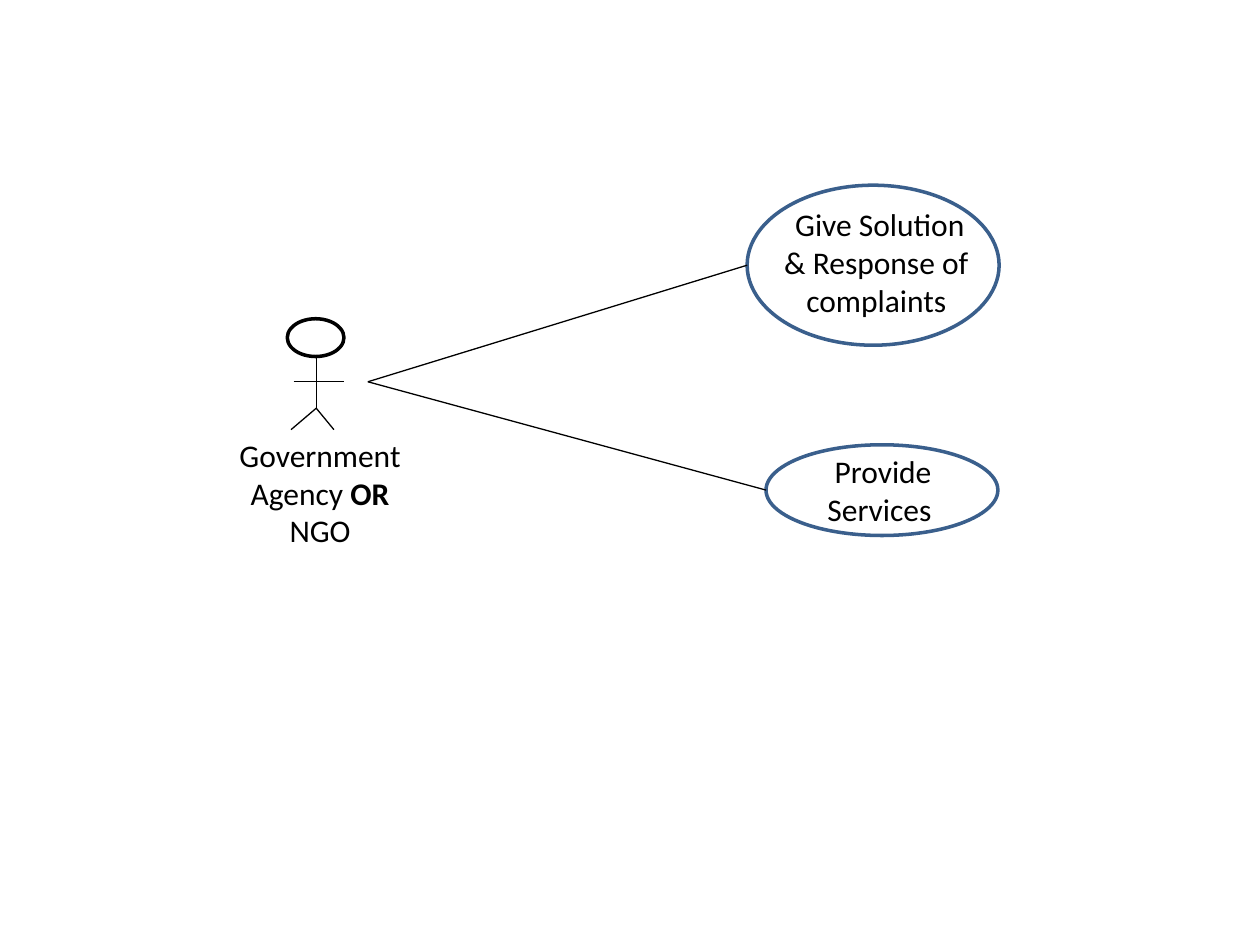
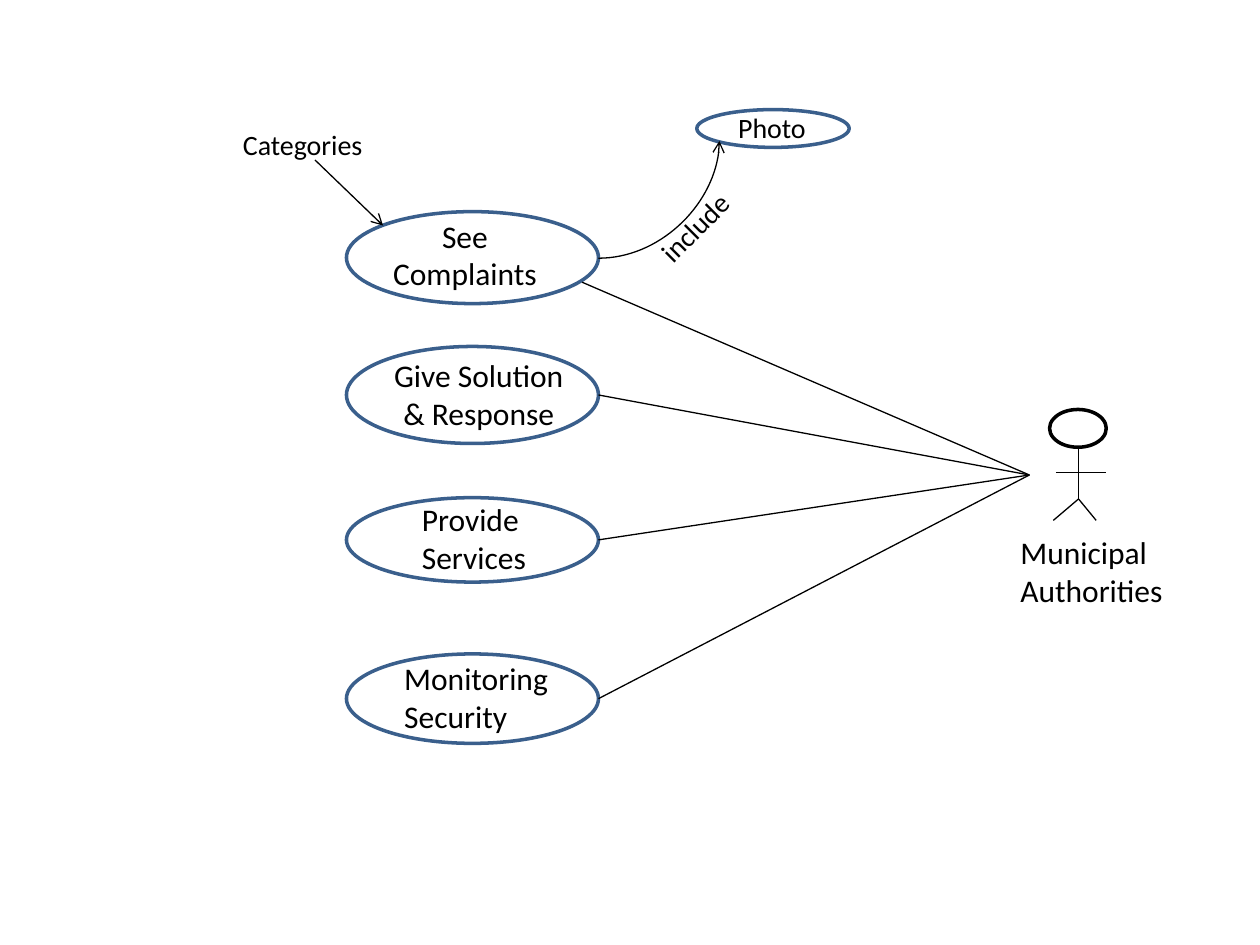
from lxml.etree import SubElement
from pptx import Presentation
from pptx.dml.color import RGBColor
from pptx.enum.shapes import MSO_CONNECTOR, MSO_SHAPE
from pptx.enum.text import MSO_AUTO_SIZE, PP_ALIGN
from pptx.oxml.ns import qn
from pptx.util import Inches, Pt

COLORS = {"paper": "FFFFFF", "ink": "000000", "outline": "3A5F8C"}
FONT = {"name": "Calibri", "size": Pt(18), "bold": False}
FRAME = {"word_wrap": True, "auto_size": MSO_AUTO_SIZE.SHAPE_TO_FIT_TEXT}
CENTER = PP_ALIGN.CENTER
LEFT = PP_ALIGN.LEFT


def color(name):
    """Return the named colour."""
    return RGBColor.from_string(COLORS[name])


def apply_format(target, values):
    """Set each attribute in values on the target."""
    for name, value in values.items():
        setattr(target, name, value)


def add_label(slide, box, runs, align=LEFT, size=18, rotation=0):
    """Write a label from (text, bold) runs."""
    label = slide.shapes.add_textbox(*map(Inches, box))
    label.rotation = rotation
    apply_format(label.text_frame, FRAME)
    paragraph = label.text_frame.paragraphs[0]
    paragraph.alignment = align
    for text, bold in runs:
        run = paragraph.add_run()
        run.text = text
        apply_format(run.font, {**FONT, "size": Pt(size), "bold": bold})
        run.font.color.rgb = color("ink")


def add_ellipse(shapes, box, outline):
    """Draw a white ellipse with a coloured outline."""
    ellipse = shapes.add_shape(MSO_SHAPE.OVAL, *map(Inches, box))
    ellipse.shadow.inherit = False
    ellipse.fill.solid()
    ellipse.fill.fore_color.rgb = color("paper")
    ellipse.line.color.rgb = color(outline)
    ellipse.line.width = Pt(2)


def add_line(shapes, start, end, arrow=False, kind=MSO_CONNECTOR.STRAIGHT):
    """Draw a thin connector, with an open arrowhead if asked."""
    connector = shapes.add_connector(kind, *map(Inches, (*start, *end)))
    connector.line.color.rgb = color("ink")
    connector.line.width = Pt(0.75)
    properties = connector.element.spPr
    if arrow:
        SubElement(properties.find(qn("a:ln")), qn("a:tailEnd"), type="arrow")
    SubElement(properties, qn("a:effectLst"))
    return connector


def add_curved_arrow(slide, start, end):
    """Draw an arrow that bends once from start to end."""
    connector = add_line(slide.shapes, start, end, True, MSO_CONNECTOR.CURVE)
    geometry = connector.element.spPr.find(qn("a:prstGeom"))
    geometry.set("prst", "curvedConnector2")


def add_actor(slide, left, top):
    """Draw a grouped stick figure from its top left corner."""
    shapes = slide.shapes.add_group_shape().shapes
    add_ellipse(shapes, (left, top, 0.45, 0.3), "ink")
    middle = left + 0.23
    hip = (middle, top + 0.71)
    add_line(shapes, (middle, top + 0.3), hip)
    for foot in (left + 0.03, left + 0.37):
        add_line(shapes, hip, (foot, top + 0.88))
    add_line(shapes, (left + 0.05, top + 0.5), (left + 0.45, top + 0.5))


def add_use_case(slide, box, text, text_box, align=LEFT, size=18):
    """Draw a use case ellipse with its label."""
    add_ellipse(slide.shapes, box, "outline")
    add_label(slide, text_box, [(text, False)], align, size)


def build_agency_slide(slide):
    """Draw the use cases of the government agency."""
    add_actor(slide, 2.28, 2.53)
    add_label(slide, (1.75, 3.41, 1.58, 1.01),
              [("Government Agency ", False), ("OR", True), (" NGO", False)], CENTER)
    use_cases = [
        ((5.93, 1.47, 2, 1.27), " Give Solution & Response of complaints",
         (6.08, 1.58, 1.75, 1.01)),
        ((6.08, 3.53, 1.84, 0.72), " Provide Services", (6.29, 3.54, 1.38, 0.71)),
    ]
    for box, text, text_box in use_cases:
        add_use_case(slide, box, text, text_box, CENTER)
        left, top, _, height = box
        add_line(slide.shapes, (2.92, 3.03), (left, top + height / 2))


def build_authorities_slide(slide):
    """Draw the use cases of the municipal authorities."""
    hub = (8.17, 3.77)
    left, width = 2.75, 2
    right = left + width
    use_cases = [
        (1.68, 0.73, "See Complaints", (2.9, 1.67, 1.58, 0.71), CENTER, (4.62, 2.24)),
        (2.75, 0.77, "Give Solution & Response", (2.92, 2.78, 1.76, 0.71), CENTER, None),
        (3.95, 0.67, "Provide Services", (3.25, 3.92, 1.38, 0.71), LEFT, None),
        (5.19, 0.71, "Monitoring Security", (3.11, 5.18, 1.61, 0.71), LEFT, None),
    ]
    for top, height, text, text_box, align, anchor in use_cases:
        add_use_case(slide, (left, top, width, height), text, text_box, align)
        add_line(slide.shapes, anchor or (right, top + height / 2), hub)
    add_use_case(slide, (5.53, 0.87, 1.21, 0.3), "Photo",
                 (5.76, 0.83, 1.58, 0.37), size=16)
    add_curved_arrow(slide, (right, 2.05), (5.71, 1.12))
    add_label(slide, (5.05, 1.53, 1.11, 0.37), [("include", False)],
              size=16, rotation=315)
    add_label(slide, (1.83, 0.96, 1.17, 0.37), [("Categories", False)], size=16)
    add_line(slide.shapes, (2.5, 1.27), (3.04, 1.79), True)
    add_actor(slide, 8.33, 3.25)
    add_label(slide, (8, 4.18, 1.74, 0.71), [("Municipal Authorities", False)])


def main():
    """Build and save the presentation."""
    presentation = Presentation()
    presentation.slide_width = Inches(10)
    presentation.slide_height = Inches(7.5)
    for build in (build_agency_slide, build_authorities_slide):
        build(presentation.slides.add_slide(presentation.slide_layouts[6]))
    presentation.save("out.pptx")


main()
